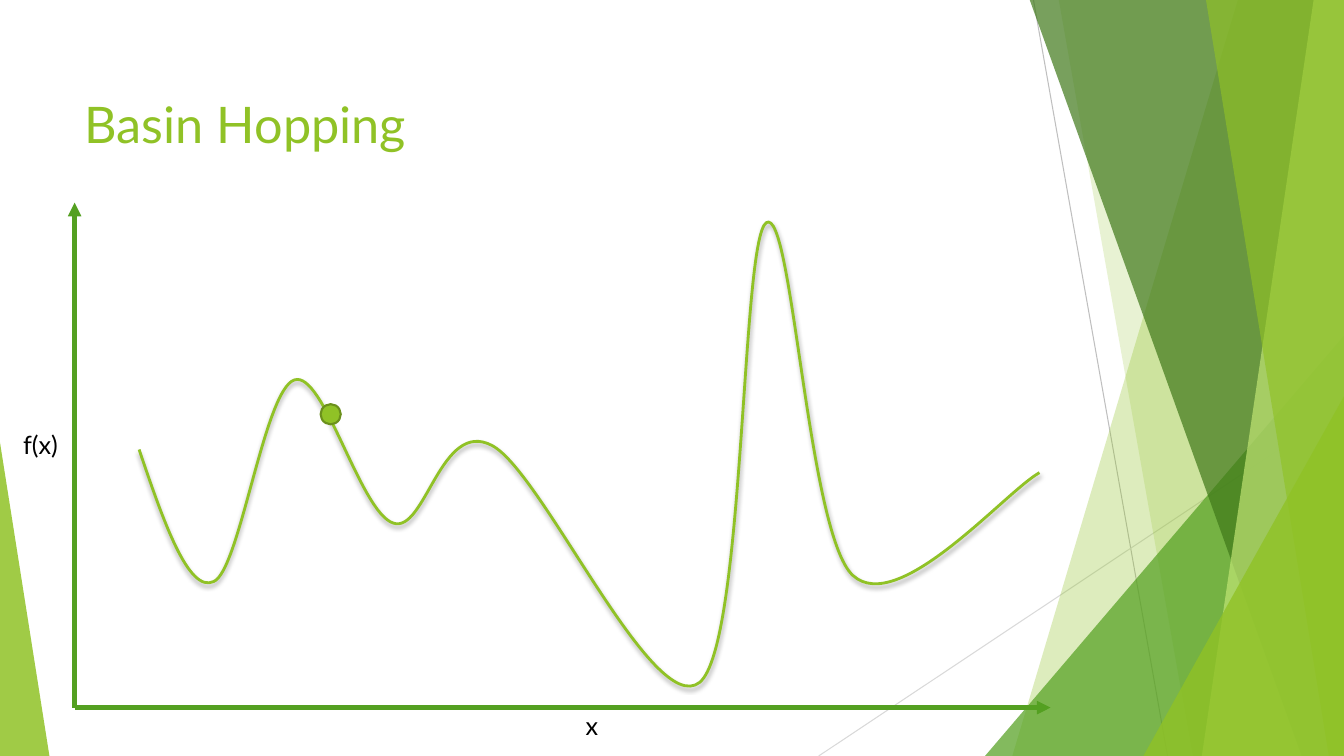
from lxml import etree
from pptx import Presentation
from pptx.dml.color import RGBColor
from pptx.enum import shapes, text
from pptx.oxml.ns import qn
from pptx.util import Inches, Pt

WIDTH, HEIGHT, BLEED = 13.33, 7.5, -0.01
LIME, GREEN, BLACK = "90C226", "54A021", "000000"
TITLE = ("Basin Hopping", (0.74, 0.86, 9.4, 0.72))
GUIDES = [
    ((10.25, 0), (11.58, HEIGHT), "BFBFBF"),
    ((WIDTH, 4.03), (8.12, HEIGHT), "D9D9D9"),
]
DECOR = [
    ("band", (12.28, 10.04), LIME, 30),
    ("band", (10.5, 11.83), LIME, 20),
    ("triangle", (9.77, 3.33, WIDTH, 1), GREEN, 72),
    ("band", (10.21, 12.91), "3F7819", 70),
    ("band", (13.03, 11.92), "C0E474", 70),
    ("band", (11.96, 13.18), LIME, 65),
    ("triangle", (11.34, 3.93, WIDTH, 1), LIME, 80),
    ("triangle", (0, 4.39, 0.49, 0), LIME, 85),
]
CURVE_START = (1.38, 4.46)
CURVE = [
    ((1.62, 5.17), (1.87, 5.89), (2.12, 5.77)),
    ((2.38, 5.66), (2.62, 3.87), (2.92, 3.77)),
    ((3.21, 3.67), (3.57, 5.08), (3.9, 5.19)),
    ((4.22, 5.3), (4.37, 4.15), (4.88, 4.42)),
    ((5.38, 4.68), (6.48, 7.14), (6.94, 6.77)),
    ((7.39, 6.4), (7.35, 2.39), (7.6, 2.21)),
    ((7.86, 2.03), (8.01, 5.3), (8.46, 5.71)),
    ((8.91, 6.12), (9.97, 4.88), (10.31, 4.69)),
]
BALL = (3.18, 4.01, 0.2, 0.2)
ORIGIN = (0.74, 7.02)
AXIS_ENDS = [(0.74, 2.01), (10.42, 7.02)]
LABELS = [("x", (5.71, 7, 0.33, 0.4)), ("f(x)", (0.13, 4.21, 0.61, 0.4))]


def rgb(value):
    return RGBColor.from_string(value)


def inches(values):
    return [Inches(v) for v in values]


def sub(parent, tag, **attrs):
    return etree.SubElement(parent, qn(tag), {k: str(v) for k, v in attrs.items()})


def set_line(sp, color, width):
    sp.line.color.rgb = rgb(color)
    sp.line.width = Pt(width)


def set_text(tf, content, size, color, **frame):
    for name, value in frame.items():
        setattr(tf, name, value)
    p = tf.paragraphs[0]
    p.alignment = text.PP_ALIGN.LEFT
    r = p.add_run()
    r.text = content
    for name, value in {"name": "Lato", "size": Pt(size), "bold": False}.items():
        setattr(r.font, name, value)
    r.font.color.rgb = rgb(color)


def add_line(s, start, end, color, width, arrow=False):
    c = s.shapes.add_connector(shapes.MSO_CONNECTOR.STRAIGHT, *inches(start + end))
    set_line(c, color, width)
    if arrow:
        sub(c.line._get_or_add_ln(), "a:tailEnd", type="triangle")
    sub(c._element.spPr, "a:effectLst")


def add_outline(s, points, close):
    start, *rest = [inches(pt) for pt in points]
    builder = s.shapes.build_freeform(*start)
    builder.add_line_segments(rest, close=close)
    sp = builder.convert_to_shape()
    sp.shadow.inherit = False
    return sp


def add_decor(s, kind, place, color, alpha):
    if kind == "band":
        top, bottom = place
        corners = [(top, BLEED), (WIDTH, BLEED), (WIDTH, HEIGHT), (bottom, HEIGHT)]
        sp = add_outline(s, corners, True)
    else:
        left, top, right, apex = place
        sp = s.shapes.add_shape(shapes.MSO_SHAPE.ISOSCELES_TRIANGLE,
                                *inches((left, top, right - left, HEIGHT - top)))
        sp.adjustments[0] = apex
        sp.shadow.inherit = False
    sp.fill.solid()
    sp.fill.fore_color.rgb = rgb(color)
    sp.line.fill.background()
    fill = sp._element.spPr.find(qn("a:solidFill"))
    sub(fill[0], "a:alpha", val=alpha * 1000)


def add_curve(s):
    sp = add_outline(s, [CURVE_START] + [seg[-1] for seg in CURVE], False)
    sp.fill.background()
    set_line(sp, LIME, 2)
    spPr = sp._element.spPr
    for old, seg in zip(list(spPr.iter(qn("a:lnTo"))), CURVE):
        bezier = etree.Element(qn("a:cubicBezTo"))
        for x, y in seg:
            sub(bezier, "a:pt", x=Inches(x) - sp.left, y=Inches(y) - sp.top)
        old.getparent().replace(old, bezier)
    shadow = sub(spPr.find(qn("a:effectLst")), "a:outerShdw", blurRad=Pt(3),
                 dist=Pt(2), dir=90 * 60000, rotWithShape=0)
    sub(sub(shadow, "a:srgbClr", val=BLACK), "a:alpha", val=35000)


def main():
    prs = Presentation()
    prs.slide_width, prs.slide_height = inches((WIDTH, HEIGHT))
    s = prs.slides.add_slide(prs.slide_layouts[5])

    for start, end, color in GUIDES:
        add_line(s, start, end, color, 0.75)
    for item in DECOR:
        add_decor(s, *item)

    content, box = TITLE
    title = s.shapes.title
    for name, value in zip(("left", "top", "width", "height"), inches(box)):
        setattr(title, name, value)
    set_text(title.text_frame, content, 36, LIME, word_wrap=True,
             vertical_anchor=text.MSO_ANCHOR.MIDDLE, auto_size=text.MSO_AUTO_SIZE.NONE)

    add_curve(s)
    ball = s.shapes.add_shape(shapes.MSO_SHAPE.OVAL, *inches(BALL))
    ball.shadow.inherit = False
    ball.fill.solid()
    ball.fill.fore_color.rgb = rgb(LIME)
    set_line(ball, "6B901C", 1.5)

    for end in AXIS_ENDS:
        add_line(s, ORIGIN, end, GREEN, 3.25, arrow=True)
    for content, box in LABELS:
        label = s.shapes.add_textbox(*inches(box))
        set_text(label.text_frame, content, 18, BLACK, word_wrap=False,
                 auto_size=text.MSO_AUTO_SIZE.SHAPE_TO_FIT_TEXT)

    prs.save("out.pptx")


if __name__ == "__main__":
    main()
